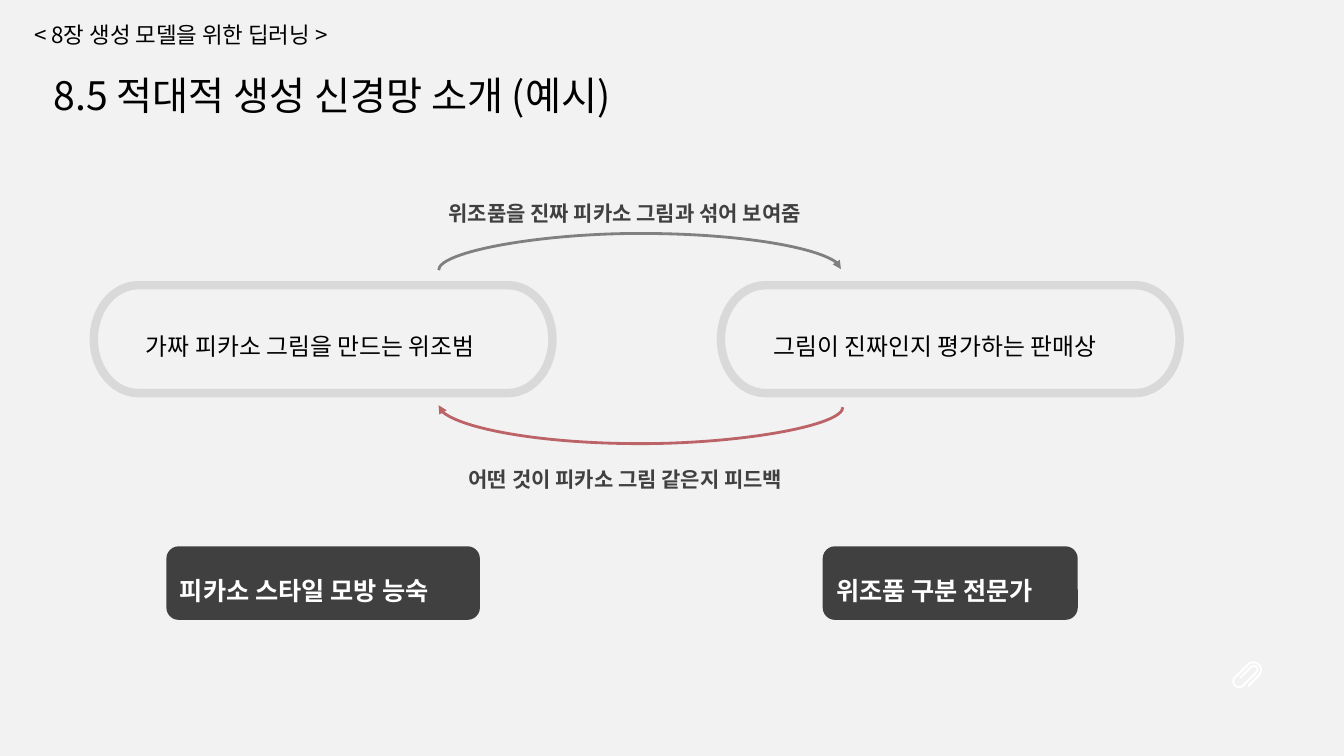
from dataclasses import dataclass
from math import cos, hypot, pi, sin, sqrt

from lxml.etree import SubElement
from pptx import Presentation
from pptx.dml.color import RGBColor
from pptx.enum.shapes import MSO_CONNECTOR as Connector, MSO_SHAPE as Shape
from pptx.enum.text import MSO_ANCHOR as Anchor, MSO_AUTO_SIZE as AutoSize, PP_ALIGN as Align
from pptx.oxml.ns import qn
from pptx.util import Inches, Pt


@dataclass(frozen=True)
class Theme:
    background: str = "F2F2F2"
    ink: str = "000000"
    dark: str = "404040"
    white: str = "FFFFFF"
    outline: str = "D9D9D9"
    forward: str = "808080"
    feedback: str = "BC6367"
    korean: str = "Noto Sans CJK KR"
    latin: str = "Arial"
    chapter: int = 16
    title: int = 28
    caption: int = 15
    role: int = 17
    badge: int = 18


THEME = Theme()


def color(value):
    return RGBColor.from_string(value)


def place(shape, box):
    shape.left, shape.top, shape.width, shape.height = (Inches(value) for value in box)


def write(shape, text, size, ink, font=THEME.latin, bold=False, spacing=1.5,
          anchor=Anchor.TOP, fit=AutoSize.SHAPE_TO_FIT_TEXT):
    frame = shape.text_frame
    frame.word_wrap = True
    frame.auto_size = fit
    frame.vertical_anchor = anchor
    frame.margin_left = frame.margin_right = Inches(0.1)
    frame.margin_top = frame.margin_bottom = Inches(0.05)
    paragraph = frame.paragraphs[0]
    paragraph.alignment = Align.LEFT
    paragraph.line_spacing = spacing
    paragraph.space_before = Pt(0)
    run = paragraph.add_run()
    run.text = text
    run.font.name = font
    run.font.size = Pt(size)
    run.font.bold = bold
    run.font.color.rgb = color(ink)
    SubElement(run.font._element, qn("a:ea"), typeface=THEME.korean)


def add_text(slide, box, text, size, ink, **style):
    shape = slide.shapes.add_textbox(*(Inches(value) for value in box))
    write(shape, text, size, ink, **style)


def add_heading(slide, left, top):
    style = dict(font=THEME.korean, spacing=1.0)
    add_text(slide, (left, top, 3.89, 0.37), "< 8장 생성 모델을 위한 딥러닝 >",
             THEME.chapter, THEME.ink, **style)
    title = slide.shapes.title
    place(title, (left + 0.19, top + 0.5, 7.37, 0.57))
    write(title, "8.5 적대적 생성 신경망 소개 (예시)", THEME.title, THEME.ink, **style)


def arc(center, radii, start, end, steps=24):
    angles = [start + (end - start) * step / steps for step in range(steps + 1)]
    return [(center[0] + radii[0] * cos(angle), center[1] + radii[1] * sin(angle))
            for angle in angles]


def add_outline(slide, points):
    corners = [(Inches(x), Inches(y)) for x, y in points]
    builder = slide.shapes.build_freeform(*corners[0])
    builder.add_line_segments(corners[1:], close=True)
    shape = builder.convert_to_shape()
    shape.shadow.inherit = False
    return shape


def add_role(slide, box, text, text_width):
    left, top, width, height = box
    end, middle = 0.44, top + height / 2
    radii = (end, height / 2)
    add_text(slide, (left + 0.42, top + 0.27, text_width, 0.53), text, THEME.role, THEME.ink)
    pill = add_outline(slide, arc((left + width - end, middle), radii, -pi / 2, pi / 2)
                       + arc((left + end, middle), radii, pi / 2, 3 * pi / 2))
    pill.fill.background()
    pill.line.color.rgb = color(THEME.outline)
    pill.line.width = Pt(6)


def add_badge(slide, box, text):
    badge = slide.shapes.add_shape(Shape.ROUNDED_RECTANGLE, *(Inches(value) for value in box))
    badge.shadow.inherit = False
    badge.fill.solid()
    badge.fill.fore_color.rgb = color(THEME.dark)
    badge.line.fill.background()
    write(badge, text, THEME.badge, THEME.white, bold=True, anchor=Anchor.MIDDLE,
          fit=AutoSize.NONE)


def add_curve(slide, box, ink, degrees, flips, bend):
    left, top, span, drop = box
    connector = slide.shapes.add_connector(Connector.CURVE, 0, 0, 0, 0)
    place(connector, (left + (span - drop) / 2, top + (drop - span) / 2, drop, span))
    properties = connector._element.spPr
    transform = properties.find(qn("a:xfrm"))
    transform.set("rot", str(degrees * 60000))
    for flip in flips:
        transform.set(flip, "1")
    adjustments = properties.find(qn("a:prstGeom")).get_or_add_avLst()
    SubElement(adjustments, qn("a:gd"), name="adj1", fmla=f"val {round(bend / drop * 100000)}")
    connector.line.color.rgb = color(ink)
    connector.line.width = Pt(2)
    SubElement(properties.find(qn("a:ln")), qn("a:tailEnd"), type="triangle")
    SubElement(properties, qn("a:effectLst"))


def add_exchange(slide, left, top):
    add_curve(slide, (left, top + 0.85, 3.99, 0.01), THEME.forward, 90, ("flipH", "flipV"), 0.37)
    add_curve(slide, (left, top + 2.2, 4.01, 0.02), THEME.feedback, 270, ("flipV",), -0.36)
    captions = [(0, 0, "위조품을 진짜 피카소 그림과 섞어 보여줌"),
                (0.2, 2.63, "어떤 것이 피카소 그림 같은지 피드백")]
    for right, down, text in captions:
        add_text(slide, (left + right, top + down, 4.19, 0.43), text,
                 THEME.caption, THEME.dark, bold=True)


def add_paperclip(slide, left, top):
    unit, half_wire = 0.01, 1
    wire = [(3, 9.6),
            *arc((18, 2), (7.6, 7.6), pi / 2, -pi / 2),
            *arc((0, 0), (5.7, 5.7), -pi / 2, -3 * pi / 2),
            *arc((18.5, 2), (3.7, 3.7), pi / 2, -pi / 2),
            (3, -1.7)]
    sides = ([], [])
    for index, (along, across) in enumerate(wire):
        before, after = wire[max(index - 1, 0)], wire[min(index + 1, len(wire) - 1)]
        run, rise = after[0] - before[0], after[1] - before[1]
        length = hypot(run, rise)
        for side, offset in zip(sides, (half_wire, -half_wire)):
            u = along - rise / length * offset
            v = across + run / length * offset
            side.append((left + 0.08 + (u + v) / sqrt(2) * unit,
                         top + 0.19 + (v - u) / sqrt(2) * unit))
    clip = add_outline(slide, sides[0] + sides[1][::-1])
    clip.fill.solid()
    clip.fill.fore_color.rgb = color(THEME.white)
    clip.line.fill.background()


def main():
    presentation = Presentation()
    presentation.slide_width, presentation.slide_height = Inches(13.33), Inches(7.5)
    slide = presentation.slides.add_slide(presentation.slide_layouts[5])
    slide.background.fill.solid()
    slide.background.fill.fore_color.rgb = color(THEME.background)
    add_paperclip(slide, 12.21, 6.57)
    add_heading(slide, 0.24, 0.16)
    add_role(slide, (0.93, 2.83, 4.55, 1.07), "가짜 피카소 그림을 만드는 위조범", 4.3)
    add_role(slide, (7.15, 2.83, 4.55, 1.07), "그림이 진짜인지 평가하는 판매상", 4.45)
    add_exchange(slide, 4.35, 1.82)
    add_badge(slide, (1.65, 5.42, 3.11, 0.73), "피카소 스타일 모방 능숙")
    add_badge(slide, (8.16, 5.42, 2.53, 0.73), "위조품 구분 전문가")
    presentation.save("out.pptx")


if __name__ == "__main__":
    main()
